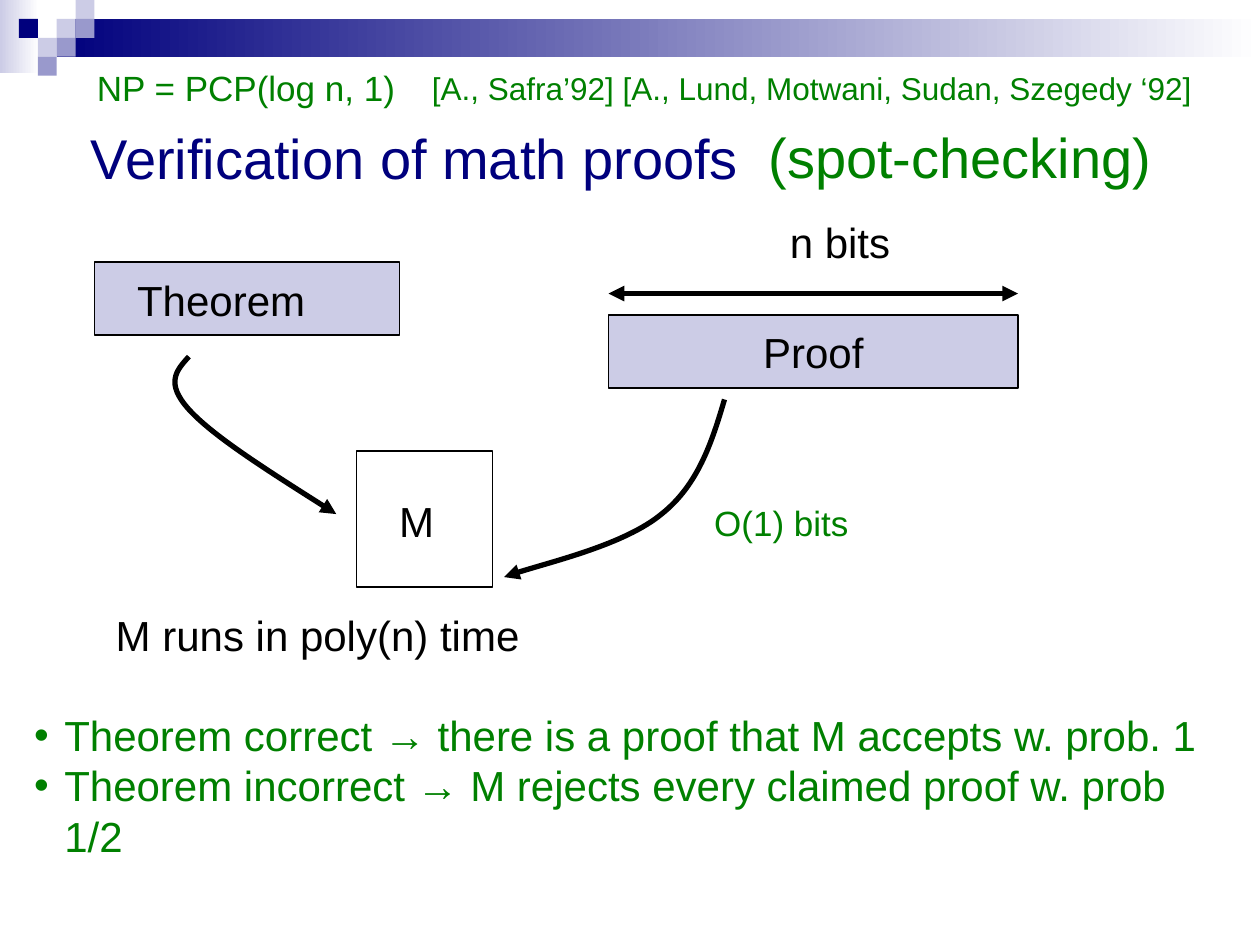
"""Build the slide on spot-checking verification of math proofs."""
from lxml.etree import SubElement
from pptx import Presentation
from pptx.dml.color import RGBColor
from pptx.enum.shapes import MSO_CONNECTOR as Connector, MSO_SHAPE as Preset
from pptx.enum.text import MSO_ANCHOR as Anchor, MSO_AUTO_SIZE as AutoSize, PP_ALIGN as Align
from pptx.oxml.ns import qn
from pptx.util import Inches, Pt

COLORS = {
    "navy": "00007D", "periwinkle": "9999CC", "lilac": "CCCCE6",
    "green": "008000", "black": "000000", "white": "FFFFFF",
}


def rgb(name):
    return RGBColor.from_string(COLORS[name])


def write(frame, text, size=24, color="black", align=Align.LEFT, anchor=Anchor.TOP,
          wrap=False, left=0.1, hanging=0):
    frame.auto_size = AutoSize.NONE
    frame.word_wrap = wrap
    frame.vertical_anchor = anchor
    frame.margin_left, frame.margin_right = Inches(left), Inches(0.1)
    frame.margin_top = frame.margin_bottom = Inches(0.05)
    frame.text = text
    for paragraph in frame.paragraphs:
        paragraph.alignment = align
        paragraph.space_before = Pt(0)
        properties = paragraph._p.get_or_add_pPr()
        properties.set("marL", str(Inches(hanging)))
        properties.set("indent", str(-Inches(hanging)))
        font = paragraph.runs[0].font
        font.name, font.size = "Arial", Pt(size)
        font.color.rgb = rgb(color)


class Canvas:
    """Hold the slide and its drawing style."""

    def __init__(self, slide, thin=0.75, thick=3):
        self.slide, self.shapes = slide, slide.shapes
        self.thin, self.thick = thin, thick

    def placeholder(self, index, box, text, **style):
        shape = self.slide.placeholders[index]
        shape.left, shape.top, shape.width, shape.height = map(Inches, box)
        write(shape.text_frame, text, **style)

    def label(self, box, text, **style):
        shape = self.shapes.add_textbox(*map(Inches, box))
        write(shape.text_frame, text, **style)

    def rectangle(self, box, fill=None, fade=False, outline=False):
        shape = self.shapes.add_shape(Preset.RECTANGLE, *map(Inches, box))
        shape.shadow.inherit = False
        if fade:
            shape.fill.gradient()
            shape.fill.gradient_angle = 0
            for stop, name in zip(shape.fill.gradient_stops, (fill, "white")):
                stop.color.rgb = rgb(name)
        elif fill:
            shape.fill.solid()
            shape.fill.fore_color.rgb = rgb(fill)
        else:
            shape.fill.background()
        if outline:
            shape.line.color.rgb = rgb("black")
            shape.line.width = Pt(self.thin)
        else:
            shape.line.fill.background()
        return shape

    def arrow_line(self, shape, ends):
        shape.line.color.rgb = rgb("black")
        shape.line.width = Pt(self.thick)
        for end in ends:
            SubElement(shape.line._get_or_add_ln(), qn(f"a:{end}"), type="triangle")

    def double_arrow(self, start, finish):
        connector = self.shapes.add_connector(
            Connector.STRAIGHT, *map(Inches, (*start, *finish)))
        self.arrow_line(connector, ("headEnd", "tailEnd"))
        SubElement(connector._element.spPr, qn("a:effectLst"))

    def curved_arrow(self, start, *controls):
        builder = self.shapes.build_freeform(*map(Inches, start))
        builder.add_line_segments([tuple(map(Inches, point)) for point in controls], close=False)
        shape = builder.convert_to_shape()
        shape.shadow.inherit = False
        shape.fill.background()
        self.arrow_line(shape, ("tailEnd",))
        outline = next(shape._element.iter(qn("a:path")))
        segments = outline.findall(qn("a:lnTo"))
        for first in range(0, len(segments), 3):
            curve = SubElement(outline, qn("a:cubicBezTo"))
            for segment in segments[first:first + 3]:
                curve.append(segment[0])
                outline.remove(segment)


presentation = Presentation()
presentation.slide_width, presentation.slide_height = Inches(10), Inches(7.5)
canvas = Canvas(presentation.slides.add_slide(presentation.slide_layouts[1]))

canvas.rectangle((0, 0, 0.31, 0.58), "lilac", fade=True)
canvas.rectangle((0.45, 0.15, 9.55, 0.3), "navy", fade=True)
TILE = 0.15
for column, row, color in (
    (3, 1, "lilac"), (4, 0, "lilac"), (4, 1, "periwinkle"), (2, 2, "lilac"),
    (1, 1, "navy"), (3, 2, "periwinkle"), (2, 3, "periwinkle"),
):
    canvas.rectangle((column * TILE, row * TILE, TILE, TILE), color)

canvas.placeholder(0, (0.5, 0.5, 9, 1.5), "Verification of math proofs",
                   size=32, color="navy", anchor=Anchor.MIDDLE, wrap=True, left=0.22)

canvas.rectangle((0.75, 2.08, 2.42, 0.58), "lilac", outline=True)
proof = canvas.rectangle((4.83, 2.5, 3.25, 0.58), "lilac", outline=True)
write(proof.text_frame, "Proof", align=Align.CENTER, anchor=Anchor.MIDDLE)
canvas.rectangle((2.83, 3.58, 1.08, 1.08), outline=True)

canvas.double_arrow((4.83, 2.33), (8.08, 2.33))
canvas.curved_arrow((5.75, 3.17), (5.65, 3.51), (5.54, 3.85), (5.25, 4.08),
                    (4.96, 4.32), (4.21, 4.5), (4, 4.58))
canvas.curved_arrow((1.5, 2.83), (1.4, 2.94), (1.31, 3.04), (1.5, 3.25),
                    (1.69, 3.46), (2.18, 3.77), (2.67, 4.08))

for box, text, size, color in (
    ((0.99, 2.13, 1.53, 0.5), "Theorem", 24, "black"),
    ((3.07, 3.88, 0.48, 0.5), "M", 24, "black"),
    ((0.82, 4.79, 3.4, 0.5), "M runs in poly(n) time", 24, "black"),
    ((6.17, 1.67, 0.99, 0.5), "n bits", 24, "black"),
    ((6, 0.92, 3.24, 0.64), "(spot-checking)", 32, "green"),
    ((3.33, 0.5, 6.23, 0.4),
     "[A., Safra’92] [A., Lund, Motwani, Sudan, Szegedy ‘92]", 18, "green"),
    ((5.57, 3.93, 1.26, 0.44), "O(1) bits", 20, "green"),
    ((0.67, 0.48, 2.57, 0.44), "NP = PCP(log n, 1)", 20, "green"),
):
    canvas.label(box, text, size=size, color=color)

canvas.placeholder(1, (0.17, 5.58, 9.63, 1.3),
                   "Theorem correct → there is a proof that M accepts w. prob. 1\n"
                   "Theorem incorrect → M rejects every claimed proof w. prob 1/2",
                   color="green", wrap=True, hanging=0.24)

presentation.save("out.pptx")
